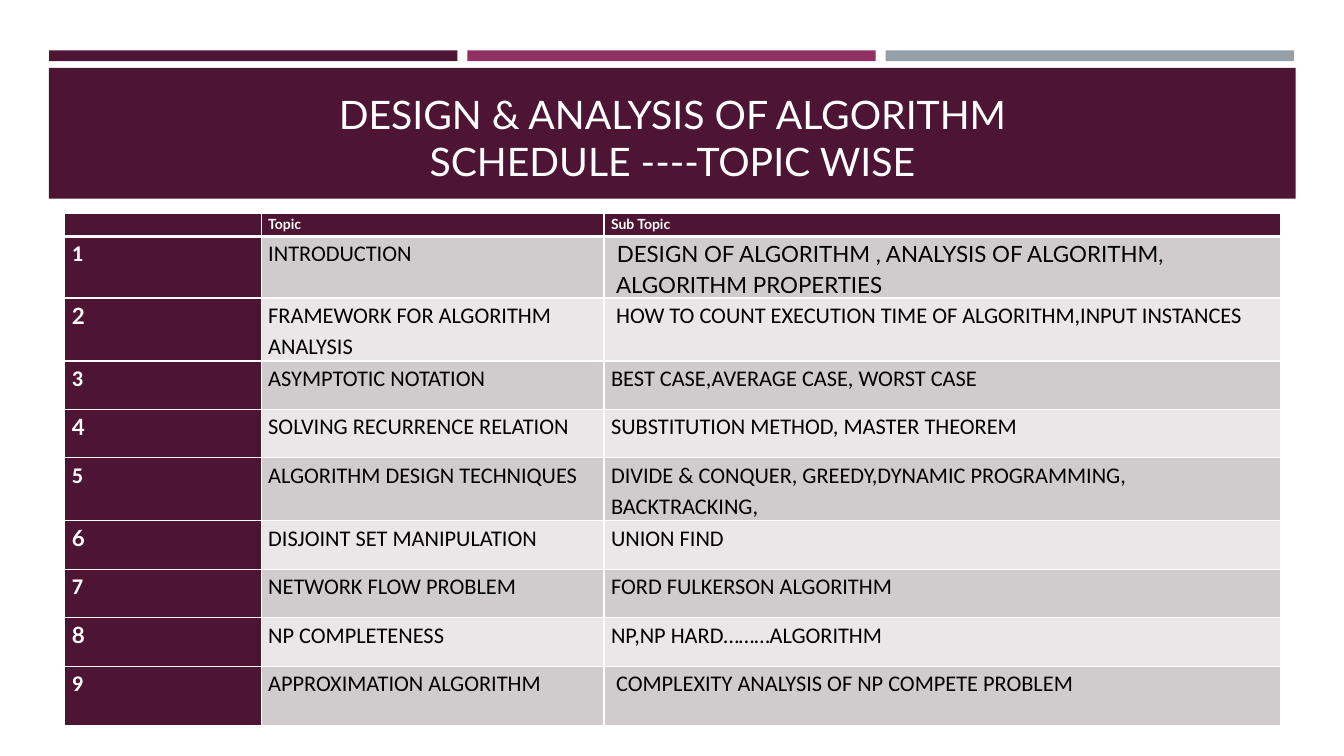
from lxml import etree
from pptx import Presentation
from pptx.dml.color import RGBColor
from pptx.enum.shapes import MSO_SHAPE
from pptx.enum.text import MSO_ANCHOR, MSO_AUTO_SIZE, PP_ALIGN
from pptx.oxml.ns import qn
from pptx.util import Cm, Pt

COLOURS = {
    "plum": "4D1434", "magenta": "903163", "slate": "969FA7",
    "odd": "D0CCCE", "even": "E9E7E8", "white": "FFFFFF", "black": "000000",
}
HEADER = ["", "Topic", "Sub Topic"]
SCHEDULE = [
    ("INTRODUCTION", " DESIGN OF ALGORITHM , ANALYSIS OF ALGORITHM,\n ALGORITHM PROPERTIES"),
    ("FRAMEWORK FOR ALGORITHM ANALYSIS",
     " HOW TO COUNT EXECUTION TIME OF ALGORITHM,INPUT INSTANCES"),
    ("ASYMPTOTIC NOTATION", "BEST CASE,AVERAGE CASE, WORST CASE"),
    ("SOLVING RECURRENCE RELATION", "SUBSTITUTION METHOD, MASTER THEOREM"),
    ("ALGORITHM DESIGN TECHNIQUES",
     "DIVIDE & CONQUER, GREEDY,DYNAMIC PROGRAMMING, BACKTRACKING, "),
    ("DISJOINT SET MANIPULATION", "UNION FIND"),
    ("NETWORK FLOW PROBLEM", "FORD FULKERSON ALGORITHM"),
    ("NP COMPLETENESS", "NP,NP HARD………ALGORITHM"),
    ("APPROXIMATION ALGORITHM", " COMPLEXITY ANALYSIS OF NP COMPETE PROBLEM"),
]
COLUMN_WIDTHS = [4.95, 8.64, 17.04]
ROW_HEIGHTS = [0.58, 1.3] + [1.22] * 7 + [1.5]


def rgb(name):
    return RGBColor.from_string(COLOURS[name])


class SlideBuilder:
    heading_font = "Lato"
    body_font = "Calibri"

    def __init__(self, slide):
        self.slide = slide

    def style(self, font, size, colour, name, bold=False):
        font.size, font.name, font.bold = Pt(size), name, bold
        font.color.rgb = rgb(colour)

    def bar(self, left, top, width, height, colour):
        shape = self.slide.shapes.add_shape(
            MSO_SHAPE.RECTANGLE, Cm(left), Cm(top), Cm(width), Cm(height))
        shape.shadow.inherit = False
        shape.fill.solid()
        shape.fill.fore_color.rgb = rgb(colour)
        shape.line.fill.background()

    def title(self, text, left, top, width, height):
        title = self.slide.shapes.title
        title.element.getparent().append(title.element)
        title.left, title.top = Cm(left), Cm(top)
        title.width, title.height = Cm(width), Cm(height)
        frame = title.text_frame
        frame.word_wrap = True
        frame.auto_size = MSO_AUTO_SIZE.NONE
        frame.vertical_anchor = MSO_ANCHOR.BOTTOM
        paragraph = frame.paragraphs[0]
        paragraph.text = text
        paragraph.alignment = PP_ALIGN.CENTER
        paragraph.line_spacing = 1.0
        for run in paragraph.runs:
            self.style(run.font, 28, "white", self.heading_font)

    def borders(self, cell, bottom):
        properties = cell._tc.get_or_add_tcPr()
        for side, width in (("L", 1), ("R", 1), ("T", 1), ("B", bottom)):
            line = etree.SubElement(properties, qn(f"a:ln{side}"), w=str(Pt(width)))
            fill = etree.SubElement(line, qn("a:solidFill"))
            etree.SubElement(fill, qn("a:srgbClr"), val=COLOURS["white"])

    def cell(self, cell, text, fill, size, colour, font, bold, bottom=1):
        self.borders(cell, bottom)
        cell.fill.solid()
        cell.fill.fore_color.rgb = rgb(fill)
        cell.margin_left = cell.margin_right = Cm(0.18)
        cell.margin_top = cell.margin_bottom = 0
        cell.text_frame.text = text
        for paragraph in cell.text_frame.paragraphs:
            paragraph.line_spacing = 1.15
            for run in paragraph.runs:
                self.style(run.font, size, colour, font, bold)
            if not paragraph.runs:
                etree.SubElement(paragraph._p, qn("a:endParaRPr"), sz=str(size * 100))

    def schedule(self, left, top):
        table = self.slide.shapes.add_table(
            len(ROW_HEIGHTS), len(COLUMN_WIDTHS), Cm(left), Cm(top),
            Cm(sum(COLUMN_WIDTHS)), Cm(sum(ROW_HEIGHTS))).table
        table.first_col = True
        for column, width in zip(table.columns, COLUMN_WIDTHS):
            column.width = Cm(width)
        for row, height in zip(table.rows, ROW_HEIGHTS):
            row.height = Cm(height)
        for index, label in enumerate(HEADER):
            self.cell(table.cell(0, index), label, "plum", 10, "white",
                      self.heading_font, True, bottom=3)
        for number, (topic, subtopic) in enumerate(SCHEDULE, 1):
            even = number % 2 == 0
            band = "even" if even else "odd"
            number_font = self.heading_font if even else self.body_font
            subtopic_font = self.heading_font if number == 1 else self.body_font
            self.cell(table.cell(number, 0), str(number), "plum", 16, "white",
                      number_font, True)
            self.cell(table.cell(number, 1), topic, band, 16, "black",
                      self.body_font, False)
            self.cell(table.cell(number, 2), subtopic, band, 16, "black",
                      subtopic_font, False)


presentation = Presentation()
presentation.slide_width, presentation.slide_height = Cm(33.87), Cm(19.05)
builder = SlideBuilder(presentation.slides.add_slide(presentation.slide_layouts[5]))

for position, colour in enumerate(("plum", "magenta", "slate")):
    builder.bar(1.24 + position * 10.54, 1.27, 10.29, 0.27, colour)
builder.bar(1.23, 1.71, 31.42, 3.3, "plum")
builder.title("DESIGN & ANALYSIS OF ALGORITHM\vSCHEDULE ----TOPIC WISE",
              1.63, 1.96, 30.63, 2.82)
builder.schedule(1.63, 5.38)

presentation.save("out.pptx")
